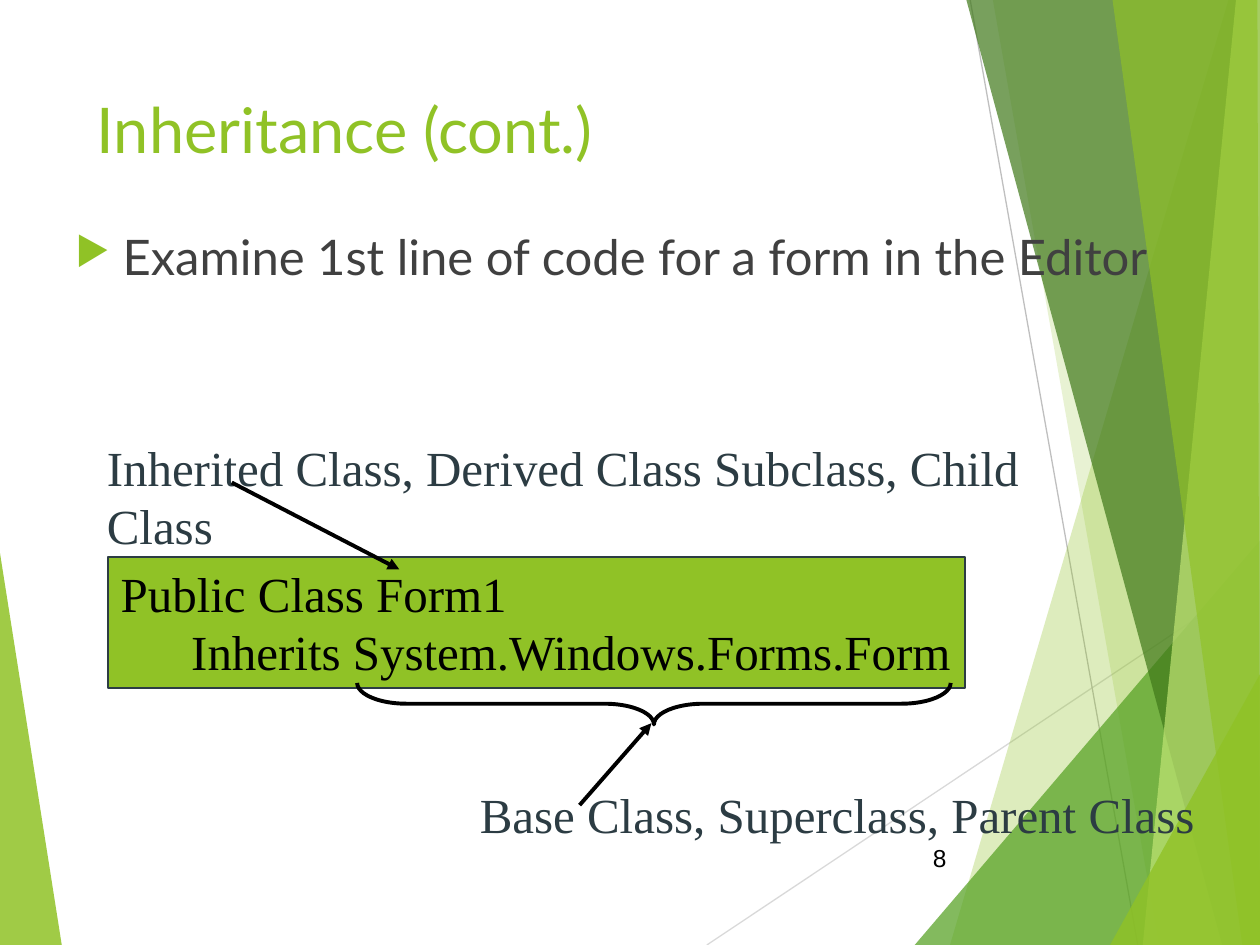
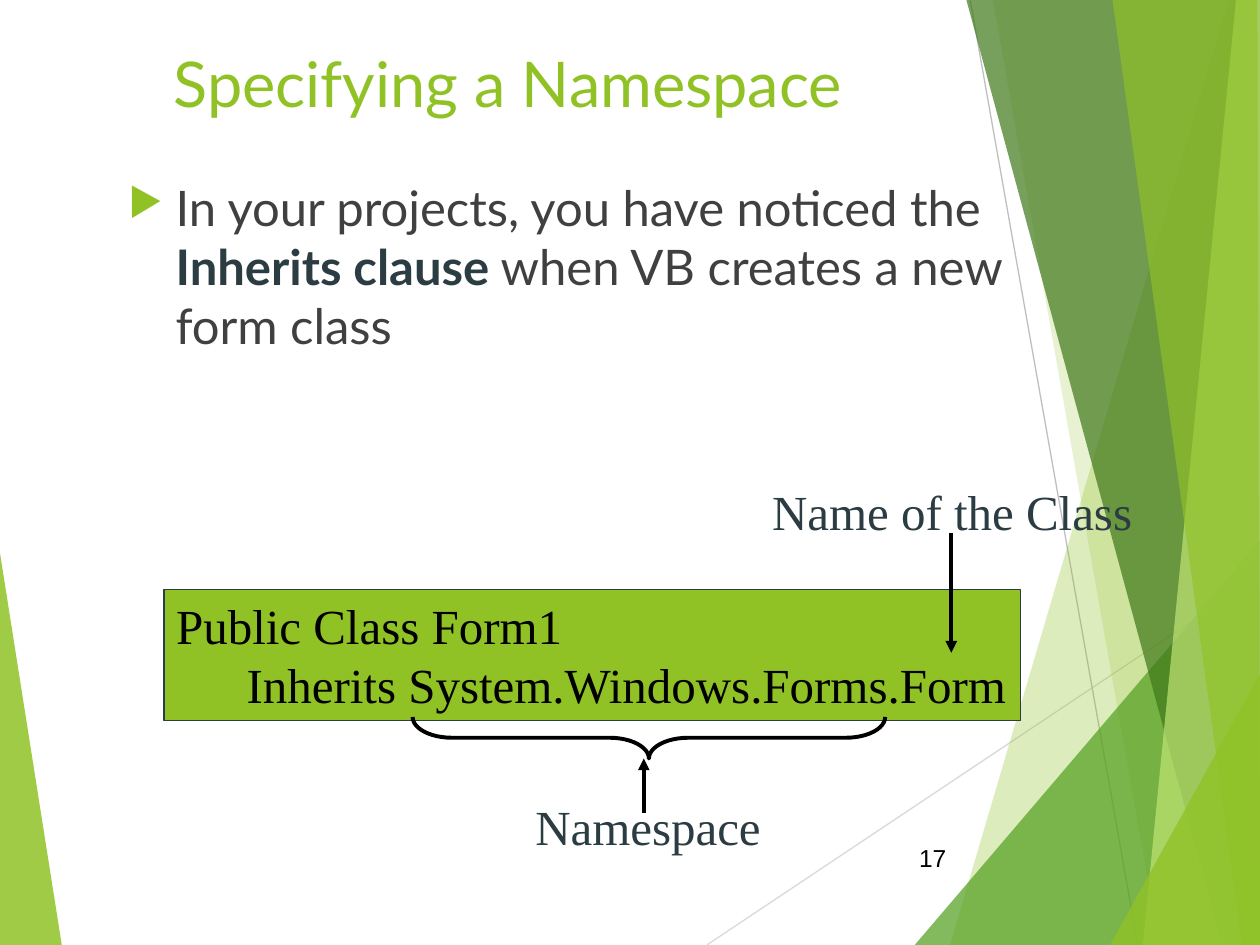
from dataclasses import dataclass

import pptx
import pptx.dml.color
import pptx.enum.shapes
import pptx.enum.text
import pptx.oxml.ns
import pptx.util
from lxml import etree

RGB = pptx.dml.color.RGBColor
SHAPE = pptx.enum.shapes.MSO_SHAPE
ANCHOR = pptx.enum.text.MSO_ANCHOR
ALIGN = pptx.enum.text.PP_ALIGN
FIT = pptx.enum.text.MSO_AUTO_SIZE
qn = pptx.oxml.ns.qn

# Grid: 100 columns by 75 rows of square cells
WIDTH, HEIGHT = pptx.util.Inches(10), pptx.util.Inches(7.5)
COLUMNS, ROWS = 100, 75

LIME = RGB(0x90, 0xC2, 0x26)
GREEN = RGB(0x54, 0xA0, 0x21)
FOREST = RGB(0x3F, 0x78, 0x19)
PALE = RGB(0xC0, 0xE4, 0x74)
SLATE = RGB(0x2C, 0x3C, 0x43)
BODY_GRAY = RGB(0x40, 0x40, 0x40)
MID_GRAY = RGB(0xBF, 0xBF, 0xBF)
LIGHT_GRAY = RGB(0xD9, 0xD9, 0xD9)
BLACK = RGB(0, 0, 0)

Point = tuple[float, float]


@dataclass(frozen=True)
class Area:
    left: float
    top: float
    width: float
    height: float

    def lengths(self) -> tuple[int, int, int, int]:
        return across(self.left), down(self.top), across(self.width), down(self.height)


@dataclass(frozen=True)
class Style:
    font: str
    size: int
    color: RGB
    bold: bool = False


@dataclass(frozen=True)
class Facet:
    color: RGB
    opacity: int
    points: tuple[Point, ...]


@dataclass(frozen=True)
class Line:
    start: Point
    end: Point
    color: RGB = BLACK
    weight: float = 2.25
    arrow: bool = True


@dataclass(frozen=True)
class Brace:
    left: float
    top: float
    span: float


@dataclass(frozen=True)
class Label:
    text: str
    area: Area


@dataclass(frozen=True)
class Lesson:
    title: Label
    bullet: tuple[tuple[str, Style], ...]
    bullet_area: Area
    code_area: Area
    labels: tuple[Label, ...]
    arrows: tuple[Line, ...]
    brace: Brace
    number: str


TITLE = Style("Lato", 36, LIME)
BODY = Style("Lato", 28, BODY_GRAY)
KEY_TERM = Style("Lato", 28, SLATE, True)
CODE = Style("Times New Roman", 28, BLACK)
CALLOUT = Style("Times New Roman", 28, SLATE)
NUMBER = Style("Arial", 14, BLACK)

NUMBER_AREA = Area(70.5, 66.1, 5.6, 4)
CODE_LINES = (("Public Class Form1", 0), ("Inherits System.Windows.Forms.Form", 5.6))
HANGING_INDENT = 3.75
BRACE_DEPTH = 3.3

# Shared backdrop, from back to front
LEFT_FACET = Facet(LIME, 85, ((0, 43.9), (4.9, 75), (0, 75)))
RAYS = (
    Line((56.1, 75), (100, 45.7), LIGHT_GRAY, 0.75, False),
    Line((77, 0), (90.3, 75), MID_GRAY, 0.75, False),
)
RIGHT_FACETS = (
    Facet(LIME, 30, ((97.5, 0), (75.4, 75), (100, 75), (100, 0))),
    Facet(LIME, 20, ((78.8, 0), (92, 75), (100, 75), (100, 0))),
    Facet(GREEN, 72, ((72.6, 75), (100, 42.9), (100, 75))),
    Facet(FOREST, 70, ((76.7, 0), (97, 75), (100, 75), (100, 0))),
    Facet(PALE, 70, ((98.1, 0), (90.7, 75), (100, 75), (100, 0))),
    Facet(LIME, 65, ((88.3, 0), (98.6, 75), (100, 75), (99.8, 0))),
    Facet(LIME, 80, ((88.1, 75), (100, 53.5), (100, 75))),
)

LESSONS = (
    Lesson(
        title=Label("Inheritance (cont.)", Area(6.7, 6.7, 69.4, 14.4)),
        bullet=(("Examine 1st line of code for a form in the Editor", BODY),),
        bullet_area=Area(5, 17.5, 90, 13.8),
        code_area=Area(8.6, 44.2, 68, 10.4),
        labels=(
            Label("Inherited Class, Derived Class Subclass, Child Class",
                  Area(7.5, 34.2, 83.7, 5.7)),
            Label("Base Class, Superclass, Parent Class", Area(37.1, 61.8, 58.7, 5.7)),
        ),
        arrows=(Line((18.4, 38.3), (31.7, 45.2)), Line((46, 63.9), (51.7, 57.4))),
        brace=Brace(28.35, 54.2, 47.1),
        number="8",
    ),
    Lesson(
        title=Label("Specifying a Namespace", Area(12.8, 3, 80.7, 9.1)),
        bullet=(
            ("In your projects, you have noticed the ", BODY),
            ("Inherits clause", KEY_TERM),
            (" when VB creates a new form class", BODY),
        ),
        bullet_area=Area(9.2, 13.6, 77.2, 54.7),
        code_area=Area(13, 46.8, 68, 10.4),
        labels=(
            Label("Name of the Class", Area(60.3, 37.7, 30.6, 5.7)),
            Label("Namespace", Area(41.5, 62.7, 19.9, 5.7)),
        ),
        arrows=(Line((75.5, 42.3), (75.5, 51.8)), Line((51.1, 64.5), (51.1, 60.2))),
        brace=Brace(32.75, 56.9, 37.5),
        number="17",
    ),
)


def across(columns: float) -> int:
    return round(WIDTH * columns / COLUMNS)


def down(rows: float) -> int:
    return round(HEIGHT * rows / ROWS)


def add_span(para, text: str, style: Style) -> None:
    span = para.add_run()
    span.text = text
    span.font.name = style.font
    span.font.size = pptx.util.Pt(style.size)
    span.font.bold = style.bold
    span.font.color.rgb = style.color


def add_box(page, area: Area, wrap: bool = True):
    box = page.shapes.add_textbox(*area.lengths())
    box.text_frame.word_wrap = wrap
    return box


def draw_facet(page, facet: Facet) -> None:
    corners = [(across(x), down(y)) for x, y in facet.points]
    builder = page.shapes.build_freeform(*corners[0], scale=1.0)
    builder.add_line_segments(corners[1:], close=True)
    shape = builder.convert_to_shape()
    shape.shadow.inherit = False
    shape.line.fill.background()
    shape.fill.solid()
    shape.fill.fore_color.rgb = facet.color
    color = shape._element.spPr.find(".//" + qn("a:srgbClr"))
    etree.SubElement(color, qn("a:alpha"), val=str(facet.opacity * 1000))


def draw_line(page, line: Line) -> None:
    connector = page.shapes.add_connector(
        pptx.enum.shapes.MSO_CONNECTOR.STRAIGHT,
        across(line.start[0]), down(line.start[1]),
        across(line.end[0]), down(line.end[1]),
    )
    connector.line.color.rgb = line.color
    connector.line.width = pptx.util.Pt(line.weight)
    if line.arrow:
        etree.SubElement(connector.line._get_or_add_ln(), qn("a:tailEnd"), type="triangle")
    etree.SubElement(connector._element.spPr, qn("a:effectLst"))


def draw_backdrop(page) -> None:
    draw_facet(page, LEFT_FACET)
    for ray in RAYS:
        draw_line(page, ray)
    for facet in RIGHT_FACETS:
        draw_facet(page, facet)


def draw_title(page, title: Label) -> None:
    box = add_box(page, title.area)
    add_span(box.text_frame.paragraphs[0], title.text, TITLE)


def draw_bullet(page, lesson: Lesson) -> None:
    para = add_box(page, lesson.bullet_area).text_frame.paragraphs[0]
    para.space_before = pptx.util.Pt(10)
    for text, style in lesson.bullet:
        add_span(para, text, style)
    properties = para._p.get_or_add_pPr()
    properties.set("marL", str(across(HANGING_INDENT)))
    properties.set("indent", str(-across(HANGING_INDENT)))
    color = etree.SubElement(properties, qn("a:buClr"))
    etree.SubElement(color, qn("a:srgbClr"), val=str(LIME))
    etree.SubElement(properties, qn("a:buSzPct"), val="80000")
    etree.SubElement(properties, qn("a:buChar"), char="▶")


def draw_number(page, number: str) -> None:
    frame = add_box(page, NUMBER_AREA).text_frame
    frame.vertical_anchor = ANCHOR.MIDDLE
    frame.paragraphs[0].alignment = ALIGN.RIGHT
    add_span(frame.paragraphs[0], number, NUMBER)


def draw_code(page, area: Area) -> None:
    panel = page.shapes.add_shape(SHAPE.RECTANGLE, *area.lengths())
    panel.shadow.inherit = False
    panel.fill.solid()
    panel.fill.fore_color.rgb = LIME
    panel.line.color.rgb = SLATE
    panel.line.width = pptx.util.Pt(1)
    frame = panel.text_frame
    frame.word_wrap = False
    frame.auto_size = FIT.SHAPE_TO_FIT_TEXT
    frame.vertical_anchor = ANCHOR.TOP
    for index, (text, indent) in enumerate(CODE_LINES):
        para = frame.add_paragraph() if index else frame.paragraphs[0]
        para.alignment = ALIGN.LEFT
        para._p.get_or_add_pPr().set("marL", str(across(indent)))
        add_span(para, text, CODE)


def draw_label(page, label: Label) -> None:
    frame = add_box(page, label.area, wrap=False).text_frame
    frame.auto_size = FIT.SHAPE_TO_FIT_TEXT
    add_span(frame.paragraphs[0], label.text, CALLOUT)


def draw_brace(page, brace: Brace) -> None:
    # An upright brace, turned about its centre so that it points down
    upright = Area(
        brace.left + (brace.span - BRACE_DEPTH) / 2,
        brace.top - (brace.span - BRACE_DEPTH) / 2,
        BRACE_DEPTH, brace.span,
    )
    shape = page.shapes.add_shape(SHAPE.LEFT_BRACE, *upright.lengths())
    shape.rotation = 270
    shape.adjustments[0] = brace.span / 12 / BRACE_DEPTH
    shape.shadow.inherit = False
    shape.fill.background()
    shape.line.color.rgb = BLACK
    shape.line.width = pptx.util.Pt(2.25)


def draw_lesson(page, lesson: Lesson) -> None:
    draw_backdrop(page)
    draw_title(page, lesson.title)
    draw_bullet(page, lesson)
    draw_number(page, lesson.number)
    draw_code(page, lesson.code_area)
    for label in lesson.labels:
        draw_label(page, label)
    for arrow in lesson.arrows:
        draw_line(page, arrow)
    draw_brace(page, lesson.brace)


def main() -> None:
    deck = pptx.Presentation()
    deck.slide_width, deck.slide_height = WIDTH, HEIGHT
    for lesson in LESSONS:
        draw_lesson(deck.slides.add_slide(deck.slide_layouts[6]), lesson)
    deck.save("out.pptx")


if __name__ == "__main__":
    main()
